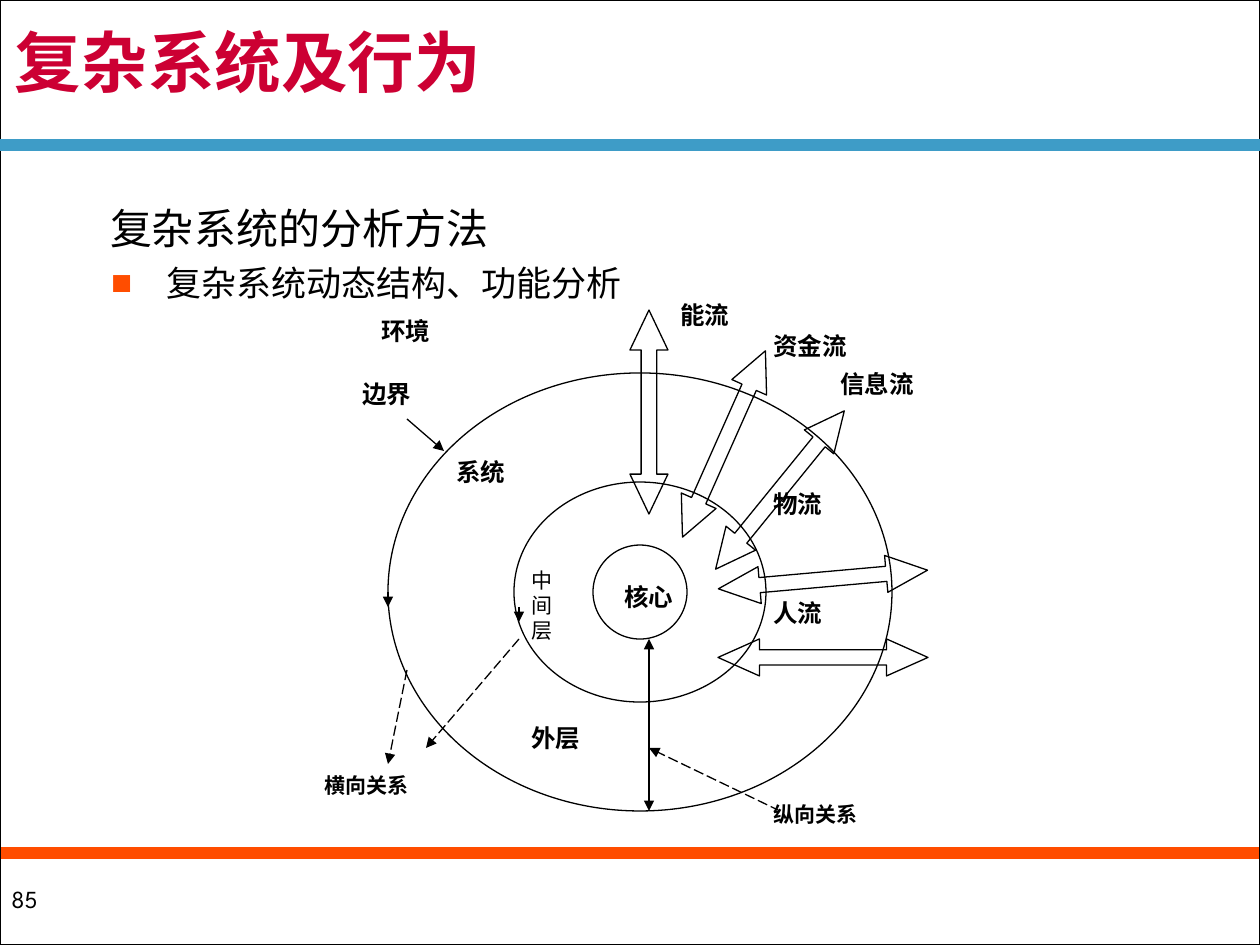
import dataclasses

import lxml.etree
import pptx
import pptx.dml.color
import pptx.enum.dml
import pptx.enum.shapes
import pptx.enum.text
import pptx.oxml.ns
import pptx.util

SHAPE = pptx.enum.shapes.MSO_SHAPE
ANCHOR = pptx.enum.text.MSO_ANCHOR
SCALE = 914400 / 126


@dataclasses.dataclass(frozen=True)
class Theme:
    """Colours, fonts and sizes of the slide."""
    ink: str = "000000"
    paper: str = "FFFFFF"
    title: str = "CC0033"
    blue: str = "3E9CC7"
    orange: str = "FF4D00"
    title_font: str = "Noto Sans CJK SC"
    body_font: str = "League Spartan"
    label_font: str = "Times New Roman"
    title_size: int = 38
    head_size: int = 24
    item_size: int = 20
    label_size: int = 14
    small_size: int = 12
    thin: float = 0.75
    frame: float = 1
    band: float = 7
    spacing: float = 0.85


THEME = Theme()


def px(n):
    """Turn px into EMU."""
    return pptx.util.Emu(round(n * SCALE))


def rgb(color):
    """Turn a hex string into a colour."""
    return pptx.dml.color.RGBColor.from_string(color)


def add_xml(parent, tag, **attrs):
    """Append one DrawingML element to a parent."""
    return lxml.etree.SubElement(parent, pptx.oxml.ns.qn(tag), attrs)


def style(p, font, size, color=THEME.ink, bold=False):
    """Format the runs of a left-aligned paragraph."""
    p.alignment = pptx.enum.text.PP_ALIGN.LEFT
    for r in p.runs:
        r.font.name = font
        r.font.size = pptx.util.Pt(size)
        r.font.bold = bold
        r.font.color.rgb = rgb(color)


def place(sp, box):
    """Move a placeholder and clear its insets."""
    sp.left, sp.top, sp.width, sp.height = map(px, box)
    tf = sp.text_frame
    tf.auto_size = pptx.enum.text.MSO_AUTO_SIZE.NONE
    tf.word_wrap = True
    tf.margin_left = tf.margin_right = tf.margin_top = tf.margin_bottom = 0
    return tf


def fill_title(s, text):
    """Fill the title placeholder."""
    tf = place(s.shapes.title, (15, 10, 1235, 115))
    tf.vertical_anchor = ANCHOR.MIDDLE
    tf.text = text
    p = tf.paragraphs[0]
    p.line_spacing = THEME.spacing
    style(p, THEME.title_font, THEME.title_size, THEME.title, True)


def fill_body(s, heading, item):
    """Fill the body placeholder with a heading and a bulleted item."""
    tf = place(s.placeholders[1], (87, 210, 1142, 610))
    tf.vertical_anchor = ANCHOR.TOP
    tf.text = heading
    p = tf.paragraphs[0]
    format_item(p, 23, 0, 0, THEME.head_size)
    add_xml(p._p.get_or_add_pPr(), "a:buNone")
    p = tf.add_paragraph()
    p.text = item
    p.level = 1
    format_item(p, 79, -55, 8.8, THEME.item_size)
    pPr = p._p.get_or_add_pPr()
    add_xml(add_xml(pPr, "a:buClr"), "a:srgbClr", val=THEME.orange)
    add_xml(pPr, "a:buFont", typeface="Arial")
    add_xml(pPr, "a:buChar", char="■")


def format_item(p, margin, indent, before, size):
    """Set indents, spacing and type of a body paragraph."""
    pPr = p._p.get_or_add_pPr()
    pPr.set("marL", str(px(margin)))
    pPr.set("indent", str(px(indent)))
    p.line_spacing = THEME.spacing
    p.space_before = pptx.util.Pt(before)
    style(p, THEME.body_font, size)


def add_shape(s, kind, box, fill=None, line=THEME.thin):
    """Add a preset shape with optional fill and outline."""
    sp = s.shapes.add_shape(kind, *map(px, box))
    sp.shadow.inherit = False
    if fill:
        sp.fill.solid()
        sp.fill.fore_color.rgb = rgb(fill)
    else:
        sp.fill.background()
    if line:
        sp.line.color.rgb = rgb(THEME.ink)
        sp.line.width = pptx.util.Pt(line)
    else:
        sp.line.fill.background()
    return sp


def add_flow(s, box, rotation, head):
    """Add a double-headed block arrow."""
    sp = add_shape(s, SHAPE.LEFT_RIGHT_ARROW, box)
    sp.adjustments[0], sp.adjustments[1] = 0.41, head
    sp.rotation = rotation


def add_line(s, ends, color=THEME.ink, width=THEME.thin, dashed=False, arrows=()):
    """Add a straight line with optional dashes and arrowheads."""
    kind = pptx.enum.shapes.MSO_CONNECTOR.STRAIGHT
    sp = s.shapes.add_connector(kind, *map(px, ends))
    sp.line.color.rgb = rgb(color)
    sp.line.width = pptx.util.Pt(width)
    if dashed:
        sp.line.dash_style = pptx.enum.dml.MSO_LINE.LONG_DASH
    for end in arrows:
        add_xml(sp.line._get_or_add_ln(), end, type="triangle")
    add_xml(sp._element.spPr, "a:effectLst")


def add_label(s, text, box, size=THEME.label_size, bold=True):
    """Add a text box label."""
    tf = s.shapes.add_textbox(*map(px, box)).text_frame
    tf.word_wrap = True
    tf.text = text
    for p in tf.paragraphs:
        style(p, THEME.label_font, size, bold=bold)


def add_frame(s):
    """Add the footer, page number, border and bands."""
    sp = add_shape(s, SHAPE.RECTANGLE, (-1, 852, 1261, 93), THEME.paper, None)
    tf = sp.text_frame
    tf.text = "85"
    tf.vertical_anchor = ANCHOR.MIDDLE
    style(tf.paragraphs[0], THEME.body_font, THEME.label_size)
    add_line(s, (0, 853, 1260, 853), THEME.orange, THEME.band)
    add_shape(s, SHAPE.RECTANGLE, (0, 0, 1260, 945), line=THEME.frame)
    add_line(s, (0, 145, 1260, 145), THEME.blue, THEME.band)


def add_diagram(s):
    """Add the layered system with its flows and relations."""
    for rx, ry in ((252, 219), (126, 110), (47, 47)):
        add_shape(s, SHAPE.OVAL, (640 - rx, 592 - ry, 2 * rx, 2 * ry), THEME.paper)
    for text, box in (
        ("核心", (612, 576, 78, 47)), ("系统", (444, 451, 93, 78)),
        ("外层", (519, 717, 149, 63)), ("边界", (350, 373, 112, 78)),
        ("环境", (369, 310, 112, 78)), ("能流", (668, 294, 112, 78)),
        ("资金流", (761, 325, 131, 78)), ("信息流", (828, 363, 110, 68)),
        ("物流", (761, 483, 112, 78)), ("人流", (761, 592, 112, 78)),
    ):
        add_label(s, text, box)
    add_label(s, "中\n间\n层", (519, 561, 131, 110), THEME.small_size, False)
    add_label(s, "纵向关系", (761, 795, 149, 47), THEME.small_size)
    add_label(s, "横向关系", (312, 766, 126, 36), THEME.small_size)
    for left, top, rotation in ((547, 393, 270), (622, 425, 294), (678, 471, 309.1)):
        add_flow(s, (left, top, 204, 38), rotation, 1.05)
    for top, rotation in ((561, 354.9), (639, 0)):
        add_flow(s, (718, top, 210, 37), rotation, 1.12)
    add_line(s, (649, 639, 649, 811), arrows=("a:headEnd", "a:tailEnd"))
    for ends in ((407, 419, 444, 451), (388, 592, 388, 607), (519, 607, 519, 622)):
        add_line(s, ends, arrows=("a:tailEnd",))
    for ends in ((407, 670, 388, 764), (519, 639, 426, 748), (780, 811, 649, 748)):
        add_line(s, ends, dashed=True, arrows=("a:tailEnd",))


def main():
    """Build and save the slide."""
    prs = pptx.Presentation()
    prs.slide_width, prs.slide_height = px(1260), px(945)
    s = prs.slides.add_slide(prs.slide_layouts[1])
    add_frame(s)
    fill_title(s, "复杂系统及行为")
    fill_body(s, "复杂系统的分析方法", "复杂系统动态结构、功能分析")
    add_diagram(s)
    prs.save("out.pptx")


if __name__ == "__main__":
    main()
